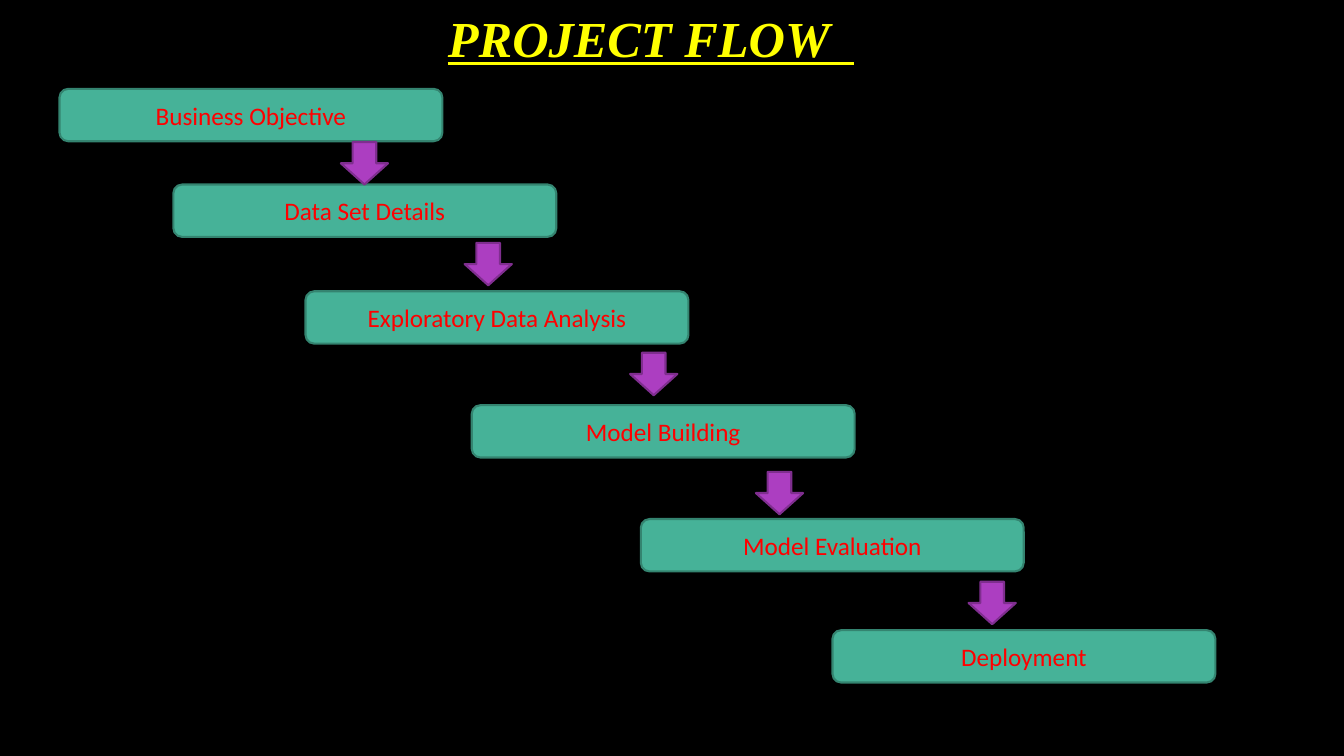
from pptx import Presentation
from pptx.dml.color import RGBColor
from pptx.enum.shapes import MSO_SHAPE as Shape
from pptx.enum.text import MSO_ANCHOR as Anchor, PP_ALIGN as Align
from pptx.util import Cm, Pt

COLORS = {
    "background": "000000",
    "title": "FFFF00",
    "step": "46B298",
    "step_line": "348470",
    "step_text": "FF0000",
    "arrow": "AC3EC1",
    "arrow_line": "7F2E8F",
}

# Label, left and top of each step, in centimetres
STEPS = [
    ("Business Objective", 1.5, 2.24),
    ("Data Set Details", 4.37, 4.65),
    ("Exploratory Data Analysis", 7.7, 7.34),
    ("Model Building", 11.89, 10.21),
    ("Model Evaluation", 16.15, 13.08),
    ("Deployment", 20.98, 15.88),
]
STEP_SIZE = (9.65, 1.32)

# Left and top of each arrow, in centimetres
ARROWS = [(8.59, 3.58), (11.71, 6.12), (15.88, 8.89), (19.05, 11.89), (24.41, 14.66)]
ARROW_SIZE = (1.19, 1.07)


def color(name):
    return RGBColor.from_string(COLORS[name])


def style_font(font, name, size, color_name):
    font.name = name
    font.size = Pt(size)
    font.color.rgb = color(color_name)


def add_title(page, text):
    box = page.shapes.add_textbox(Cm(11.29), Cm(0.18), Cm(11), Cm(1.46))
    frame = box.text_frame
    frame.word_wrap = True
    frame.margin_left = frame.margin_right = 0
    frame.margin_top = frame.margin_bottom = 0
    para = frame.paragraphs[0]
    para.text = text
    style_font(para.font, "Times New Roman", 36, "title")
    para.font.bold = para.font.italic = para.font.underline = True


def add_block(page, kind, left, top, size, color_name):
    width, height = size
    block = page.shapes.add_shape(kind, Cm(left), Cm(top), Cm(width), Cm(height))
    block.shadow.inherit = False
    block.fill.solid()
    block.fill.fore_color.rgb = color(color_name)
    block.line.color.rgb = color(color_name + "_line")
    block.line.width = Pt(1.5)
    return block


def add_step(page, label, left, top):
    step = add_block(page, Shape.ROUNDED_RECTANGLE, left, top, STEP_SIZE, "step")
    frame = step.text_frame
    frame.word_wrap = True
    frame.vertical_anchor = Anchor.MIDDLE
    para = frame.paragraphs[0]
    para.text = label
    para.alignment = Align.CENTER
    style_font(para.font, "Calibri", 18, "step_text")


def main():
    deck = Presentation()
    deck.slide_width, deck.slide_height = Cm(33.87), Cm(19.05)
    page = deck.slides.add_slide(deck.slide_layouts[6])
    page.background.fill.solid()
    page.background.fill.fore_color.rgb = color("background")

    add_title(page, "PROJECT FLOW  ")

    # Staircase of steps, then the arrows between them
    for label, left, top in STEPS:
        add_step(page, label, left, top)
    for left, top in ARROWS:
        add_block(page, Shape.DOWN_ARROW, left, top, ARROW_SIZE, "arrow")

    deck.save("out.pptx")


if __name__ == "__main__":
    main()
